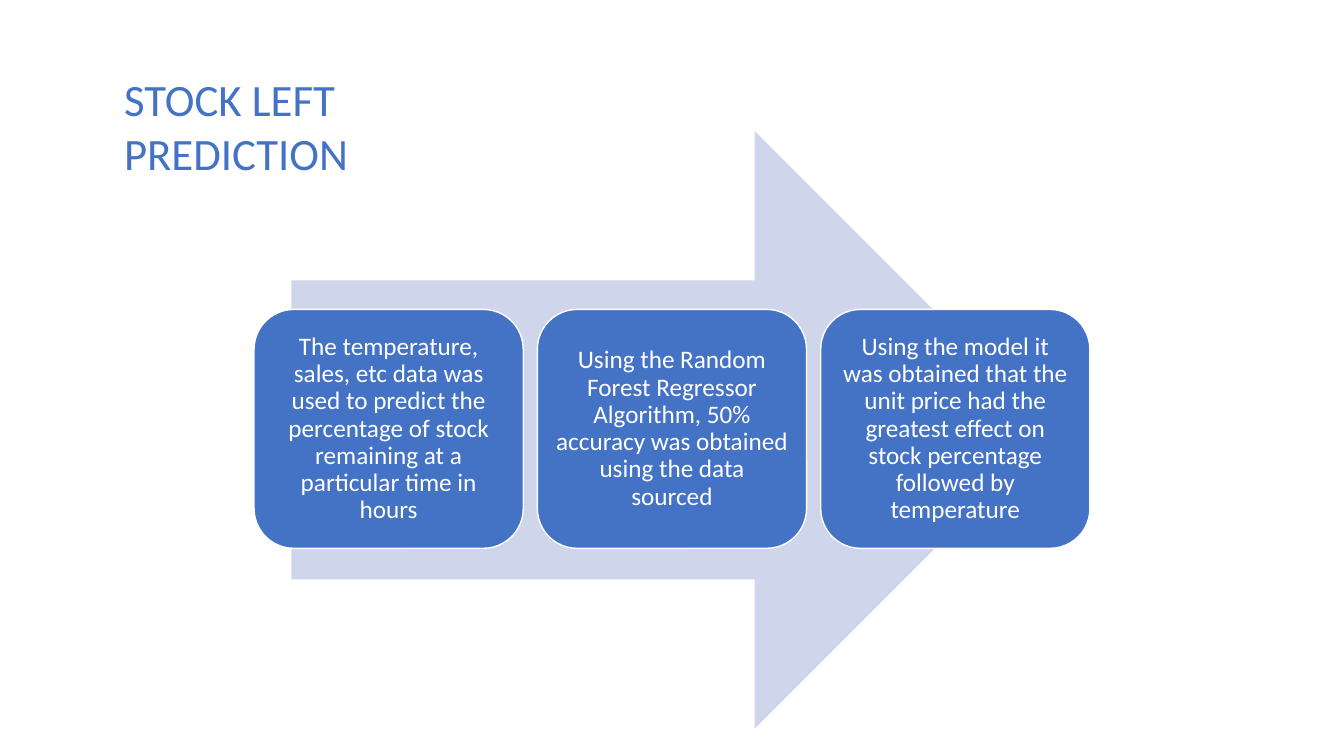
from dataclasses import dataclass

from pptx import Presentation
from pptx.dml.color import RGBColor
from pptx.enum.shapes import MSO_SHAPE
from pptx.enum.text import MSO_ANCHOR, MSO_AUTO_SIZE, PP_ALIGN
from pptx.util import Inches, Pt

RIGHT_ARROW = MSO_SHAPE.RIGHT_ARROW
ROUNDED = MSO_SHAPE.ROUNDED_RECTANGLE
TOP, MIDDLE = MSO_ANCHOR.TOP, MSO_ANCHOR.MIDDLE
LEFT, CENTER = PP_ALIGN.LEFT, PP_ALIGN.CENTER
GROW, FIXED = MSO_AUTO_SIZE.SHAPE_TO_FIT_TEXT, MSO_AUTO_SIZE.NONE
TITLE_ONLY = 5


@dataclass(frozen=True)
class Theme:
    font: str = "Calibri"
    accent: RGBColor = RGBColor(0x44, 0x72, 0xC4)
    pale: RGBColor = RGBColor(0xCF, 0xD5, 0xEA)
    white: RGBColor = RGBColor(0xFF, 0xFF, 0xFF)
    title_size: int = 32
    step_size: int = 18


THEME = Theme()
HEADING = "STOCK LEFT PREDICTION"
STEPS = [
    "The temperature, sales, etc data was used to predict the percentage "
    "of stock remaining at a particular time in hours",
    "Using the Random Forest Regressor Algorithm, 50% accuracy was "
    "obtained using the data sourced",
    "Using the model it was obtained that the unit price had the greatest "
    "effect on stock percentage followed by temperature",
]
STEP_LEFT, STEP_TOP, STEP_PITCH = 2.52, 3.07, 2.81
STEP_WIDTH, STEP_HEIGHT = 2.67, 2.37


def apply(target, values):
    for name, value in values.items():
        setattr(target, name, value)


def write(frame, text, size, color, align, spacing, layout):
    frame.text = text
    apply(frame, {"word_wrap": True, **layout})
    paragraph = frame.paragraphs[0]
    apply(paragraph, {"alignment": align, "line_spacing": spacing})
    font = paragraph.runs[0].font
    apply(font, {"name": THEME.font, "size": Pt(size)})
    font.color.rgb = color


def add_heading(slide):
    heading = slide.shapes.title
    apply(heading, {"left": Inches(1.13), "top": Inches(0.66),
                    "width": Inches(3.11), "height": Inches(1.18)})
    write(heading.text_frame, HEADING, THEME.title_size, THEME.accent, LEFT, 1.0,
          {"vertical_anchor": TOP, "auto_size": GROW})


def add_block(slide, preset, left, top, width, height, color):
    block = slide.shapes.add_shape(
        preset, Inches(left), Inches(top), Inches(width), Inches(height))
    block.shadow.inherit = False
    block.fill.solid()
    block.fill.fore_color.rgb = color
    block.line.fill.background()
    return block


def add_step(slide, position, text):
    step = add_block(slide, ROUNDED, STEP_LEFT + position * STEP_PITCH, STEP_TOP,
                     STEP_WIDTH, STEP_HEIGHT, THEME.accent)
    step.line.color.rgb = THEME.white
    step.line.width = Pt(1)
    margins = {f"margin_{side}": Inches(0.07)
               for side in ("left", "top", "right", "bottom")}
    write(step.text_frame, text, THEME.step_size, THEME.white, CENTER, 0.9,
          {"vertical_anchor": MIDDLE, "auto_size": FIXED, **margins})


def main():
    deck = Presentation()
    apply(deck, {"slide_width": Inches(13.33), "slide_height": Inches(7.5)})
    slide = deck.slides.add_slide(deck.slide_layouts[TITLE_ONLY])
    add_heading(slide)
    add_block(slide, RIGHT_ARROW, 2.89, 1.3, 7.56, 5.93, THEME.pale)
    for position, text in enumerate(STEPS):
        add_step(slide, position, text)
    deck.save("out.pptx")


if __name__ == "__main__":
    main()
